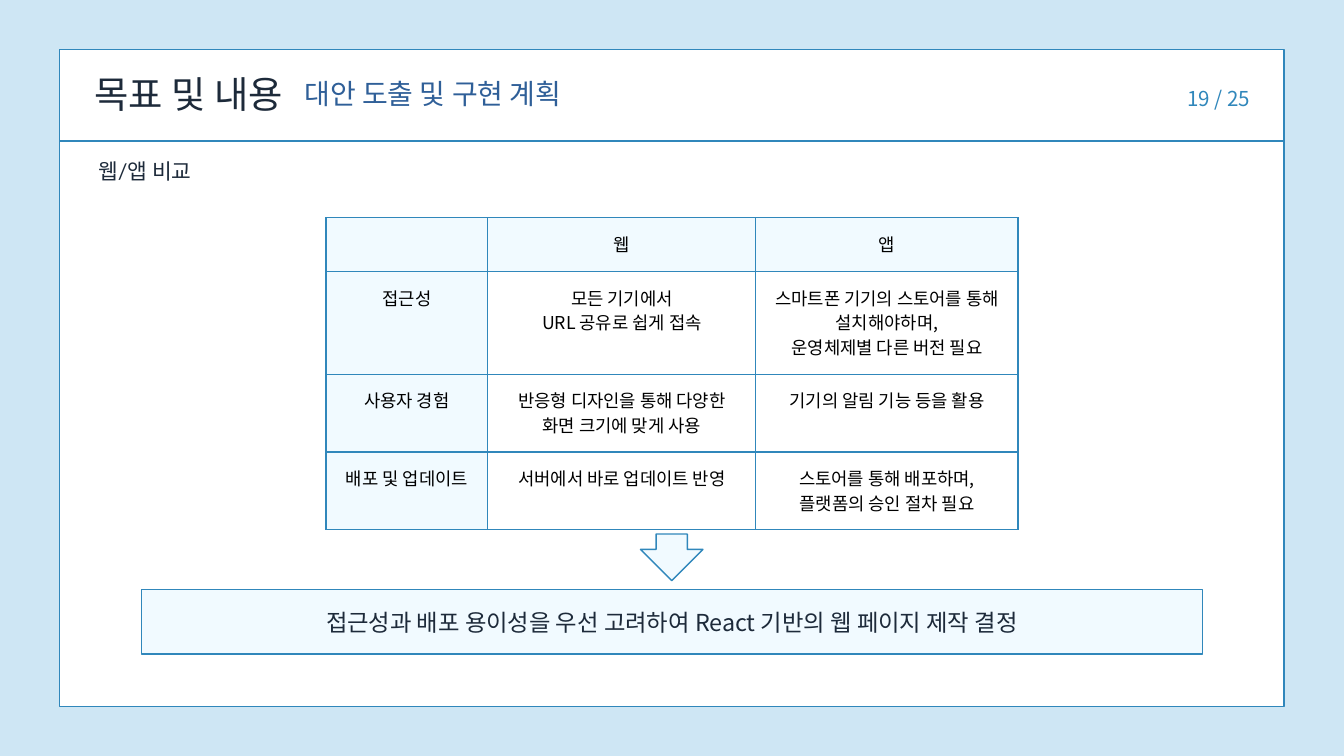
from lxml import etree
from pptx import Presentation
from pptx import util as u
from pptx.dml.color import RGBColor
from pptx.enum import shapes, text
from pptx.oxml.ns import qn

HUE = {"back": "CEE6F4", "white": "FFFFFF", "pale": "F1FAFF", "edge": "3087BB",
       "ink": "1D2A3A", "blue": "2F5F98", "black": "000000"}
rgb = {name: RGBColor.from_string(code) for name, code in HUE.items()}
NOTO = "Noto Sans CJK KR"
ALIGN = text.PP_ALIGN


def write(frame, words, size, lead, font=NOTO, hue="ink", align=ALIGN.LEFT, inset=0):
    """Fill a text frame or table cell, one paragraph per line of words."""
    for side in ("left", "top", "right", "bottom"):
        setattr(frame, "margin_" + side, u.Cm(inset))
    body = getattr(frame, "text_frame", frame)
    body.word_wrap = True
    body.text = words
    for para in body.paragraphs:
        para.alignment = align
        para.line_spacing = u.Pt(lead)
        para.font.size = u.Pt(size)
        for run in para.runs:
            run.font.size = u.Pt(size)
            run.font.name = font
            run.font.color.rgb = rgb[hue]
            east = etree.SubElement(run.font._element, qn("a:ea"))
            east.set("typeface", NOTO)


deck = Presentation()
deck.slide_width, deck.slide_height = u.Cm(50.8), u.Cm(28.58)
slide = deck.slides.add_slide(deck.slide_layouts[6])
slide.background.fill.solid()
slide.background.fill.fore_color.rgb = rgb["back"]

# White page, down arrow and conclusion bar
KIND = shapes.MSO_SHAPE
for kind, hue, place in [
    (KIND.RECTANGLE, "white", (2.26, 1.88, 46.28, 24.82)),
    (KIND.DOWN_ARROW, "pale", (24.21, 20.19, 2.36, 1.76)),
    (KIND.RECTANGLE, "pale", (5.36, 22.28, 40.1, 2.44)),
]:
    shape = slide.shapes.add_shape(kind, *map(u.Cm, place))
    shape.shadow.inherit = False
    shape.fill.solid()
    shape.fill.fore_color.rgb = rgb[hue]
    shape.line.color.rgb = rgb["edge"]
    shape.line.width = u.Pt(1.5)
    if kind == KIND.DOWN_ARROW:
        shape.adjustments[0] = 0.5
        shape.adjustments[1] = 0.67

rule = slide.shapes.add_connector(
    shapes.MSO_CONNECTOR.STRAIGHT, u.Cm(2.26), u.Cm(5.33), u.Cm(48.54), u.Cm(5.33))
rule.line.color.rgb = rgb["edge"]
rule.line.width = u.Pt(1.5)
etree.SubElement(rule._element.spPr, qn("a:effectLst"))

# Headings, page number and conclusion
for words, place, style in [
    ("목표 및 내용", (3.58, 2.41, 9.32, 2.13), dict(size=40, lead=56, font="Lato")),
    ("대안 도출 및 구현 계획", (11.51, 2.69, 11.2, 1.65),
     dict(size=30, lead=42, font="Lato", hue="blue")),
    ("19 / 25", (36.8, 3.1, 10.44, 1.07),
     dict(size=22, lead=30.8, hue="edge", align=ALIGN.RIGHT)),
    ("웹/앱 비교", (3.71, 5.99, 16.08, 1.12), dict(size=23, lead=27.6, font="Lato")),
    ("접근성과 배포 용이성을 우선 고려하여 React 기반의 웹 페이지 제작 결정",
     (11.07, 22.78, 28.65, 1.27), dict(size=25, lead=36.2, align=ALIGN.CENTER)),
]:
    box = slide.shapes.add_textbox(*map(u.Cm, place))
    write(box.text_frame, words, **style)

# Comparison table
rows = [
    ["", "웹", "앱"],
    ["접근성", "모든 기기에서\nURL 공유로 쉽게 접속",
     "스마트폰 기기의 스토어를 통해 설치해야하며,\n운영체제별 다른 버전 필요"],
    ["사용자 경험", "반응형 디자인을 통해 다양한\n화면 크기에 맞게 사용",
     "기기의 알림 기능 등을 활용"],
    ["배포 및 업데이트", "서버에서 바로 업데이트 반영",
     "스토어를 통해 배포하며,\n플랫폼의 승인 절차 필요"],
]
wide = [6.12, 10.13, 9.91]
tall = [2.03, 3.89, 2.9, 2.9]
grid = slide.shapes.add_table(len(rows), len(wide), u.Cm(12.32), u.Cm(8.23),
                              u.Cm(sum(wide)), u.Cm(sum(tall))).table
grid.first_row = grid.horz_banding = False
for col, width in zip(grid.columns, wide):
    col.width = u.Cm(width)
for row, height in zip(grid.rows, tall):
    row.height = u.Cm(height)
for r, row in enumerate(rows):
    for c, words in enumerate(row):
        cell = grid.cell(r, c)
        write(cell, words, 19, 26.6, hue="black", align=ALIGN.CENTER, inset=0.53)
        if r == 0 or c == 0:
            cell.fill.solid()
            cell.fill.fore_color.rgb = rgb["pale"]
        else:
            cell.fill.background()
        props = cell._tc.get_or_add_tcPr()
        for i, side in enumerate("LRTB"):
            line = etree.Element(qn("a:ln" + side), w=str(u.Pt(1.5)))
            fill = etree.SubElement(line, qn("a:solidFill"))
            etree.SubElement(fill, qn("a:srgbClr"), val=HUE["edge"])
            props.insert(i, line)

deck.save("out.pptx")
